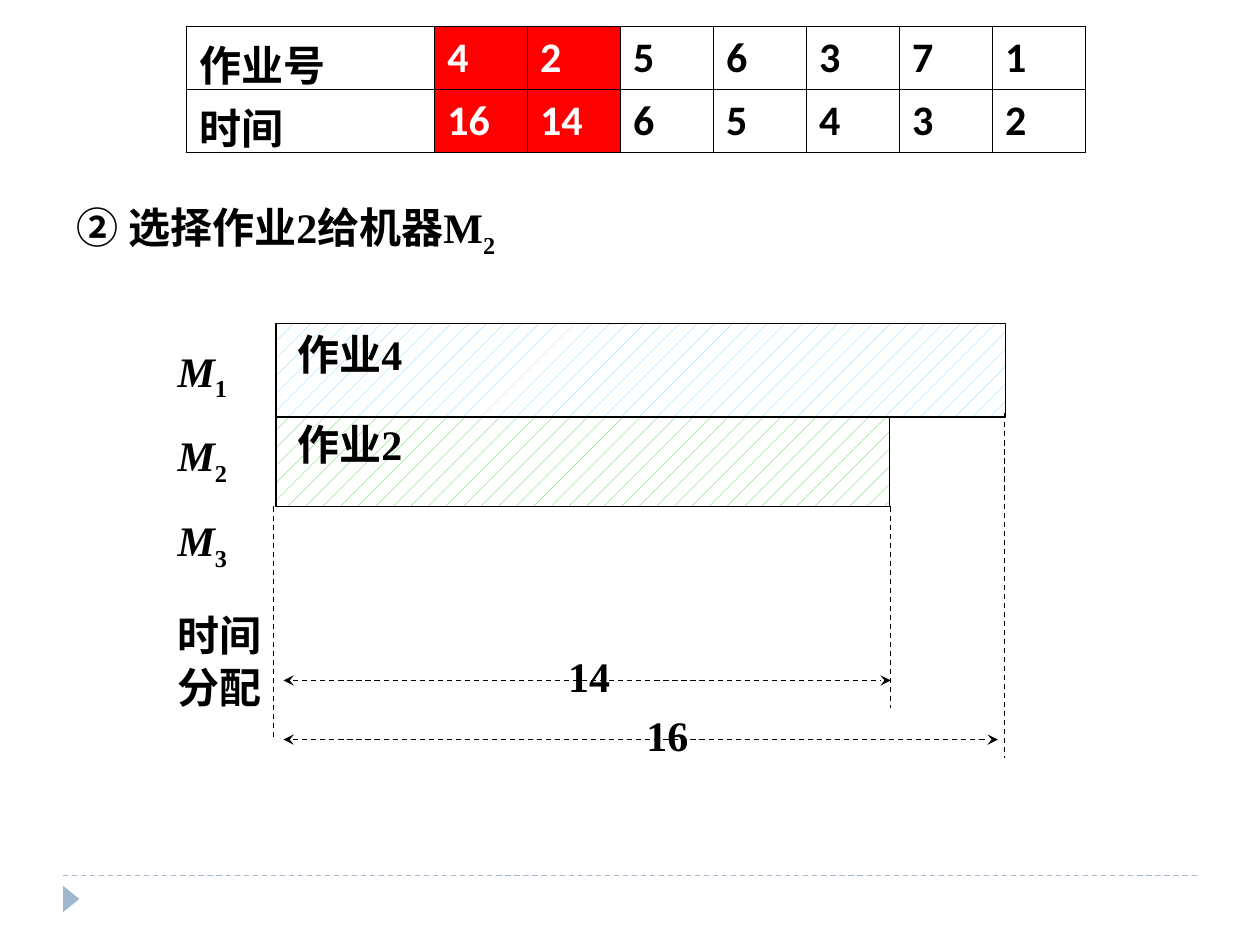
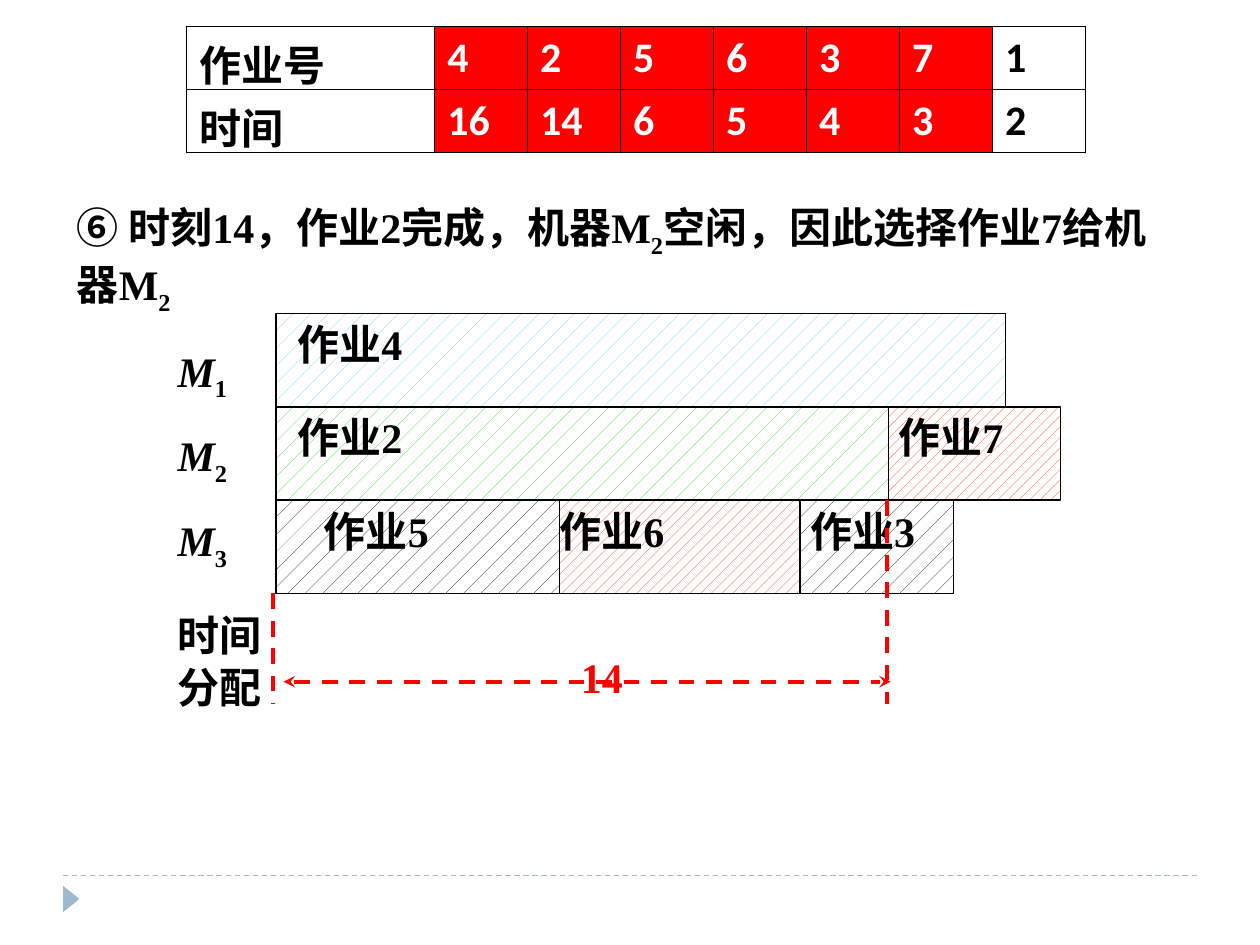
from dataclasses import dataclass

from lxml import etree
from pptx import Presentation
from pptx.dml.color import RGBColor
from pptx.enum.dml import MSO_LINE, MSO_PATTERN
from pptx.enum.shapes import MSO_CONNECTOR, MSO_SHAPE
from pptx.enum.text import MSO_ANCHOR, MSO_AUTO_SIZE, PP_ALIGN
from pptx.oxml.ns import qn
from pptx.util import Emu, Inches, Pt

DASH = MSO_LINE.DASH
DOTS = MSO_PATTERN.PERCENT_5
DASHED_UP = MSO_PATTERN.DASHED_UPWARD_DIAGONAL
STRAIGHT = MSO_CONNECTOR.STRAIGHT
RECTANGLE = MSO_SHAPE.RECTANGLE
TRIANGLE = MSO_SHAPE.ISOSCELES_TRIANGLE
TOP = MSO_ANCHOR.TOP
MIDDLE = MSO_ANCHOR.MIDDLE
FIT_TEXT = MSO_AUTO_SIZE.SHAPE_TO_FIT_TEXT
JUSTIFY = PP_ALIGN.JUSTIFY
LEFT = PP_ALIGN.LEFT

SLIDE_WIDTH, SLIDE_HEIGHT = Inches(10), Inches(7.5)
GRID_COLUMNS = 100
TITLE_ONLY = 5
SERIF, SANS = "Times New Roman", "Calibri"
TEXT_SIZE = 24
COLORS = {
    "black": "000000",
    "white": "FFFFFF",
    "red": "FF0000",
    "band": "9FB8CD",
    "blue": "66CCFF",
    "green": "33CC33",
    "orange": "FF3300",
}

JOBS = ("作业号", "4", "2", "5", "6", "3", "7", "1")
TIMES = ("时间", "16", "14", "6", "5", "4", "3", "2")
MACHINES = ("M|1", "M|2", "M|3")
BAR_HEIGHT = 7.4
CHART_LEFT = 21.9


@dataclass(frozen=True)
class Bar:
    label: str
    machine: int
    left: float
    width: float
    color: str
    indent: float = 1.7
    pattern: MSO_PATTERN = DOTS


@dataclass(frozen=True)
class Guide:
    column: float
    top: float
    bottom: float


@dataclass(frozen=True)
class Span:
    label: str
    row: float
    right: float
    label_left: float


@dataclass(frozen=True)
class Step:
    heading: str
    heading_height: float
    assigned: int
    chart_top: float
    row_pitch: float
    bars: tuple[Bar, ...]
    guides: tuple[Guide, ...]
    spans: tuple[Span, ...]
    guide_color: str
    guide_width: float


JOB_4 = Bar("作业4", 0, CHART_LEFT, 57.9, "blue")
JOB_2 = Bar("作业2", 1, CHART_LEFT, 48.7, "green")

STEPS = (
    Step(
        "② 选择作业2给机器M|2", 5, 2, 25.7, 7.1,
        (JOB_2, JOB_4),
        (Guide(21.7, 40.2, 58.7), Guide(79.7, 32.8, 60.2), Guide(70.7, 40.2, 56.2)),
        (Span("16", 58.7, 79.2, 51.3), Span("14", 54, 70.7, 45.1)),
        "black", 0.75,
    ),
    Step(
        "⑥ 时刻14，作业2完成，机器M|2|空闲，因此选择作业7给机器M|2", 9.1, 6, 24.9, 7.4,
        (
            Bar("作业5", 2, CHART_LEFT, 22.6, "black", 3.8),
            Bar("作业6", 2, 44.4, 19.1, "orange", 0, DASHED_UP),
            Bar("作业3", 2, 63.5, 12.2, "black", 0.8),
            JOB_2,
            Bar("作业7", 1, 70.5, 13.7, "orange", 0.8, DASHED_UP),
            JOB_4,
        ),
        (Guide(21.7, 47.1, 55.9), Guide(70.4, 39.7, 55.9)),
        (Span("14", 54.1, 70.7, 46.1),),
        "red", 2.25,
    ),
)


def grid(cells: float) -> Emu:
    return Emu(round(cells * SLIDE_WIDTH / GRID_COLUMNS))


def color(name: str) -> RGBColor:
    return RGBColor.from_string(COLORS[name])


def write(paragraph, text: str, font=SERIF, text_color="black", align=JUSTIFY) -> None:
    paragraph.alignment = align
    paragraph.font.name = font
    paragraph.font.size = Pt(TEXT_SIZE)
    paragraph.font.bold = True
    paragraph.font.color.rgb = color(text_color)
    for index, part in enumerate(text.split("|")):
        run = paragraph.add_run()
        run.text = part
        if index % 2:
            run._r.get_or_add_rPr().set("baseline", "-25000")


def set_margins(frame, left=0.0, top=0.0, right=0.0, bottom=0.0) -> None:
    frame.margin_left, frame.margin_top = grid(left), grid(top)
    frame.margin_right, frame.margin_bottom = grid(right), grid(bottom)


def add_text_frame(slide, left: float, top: float, width: float, height: float):
    box = slide.shapes.add_textbox(grid(left), grid(top), grid(width), grid(height))
    frame = box.text_frame
    frame.word_wrap = True
    set_margins(frame)
    return frame


def add_dashed_line(slide, start, end, line_color: str, width=0.75, arrows=False):
    connector = slide.shapes.add_connector(STRAIGHT, *map(grid, (*start, *end)))
    connector.line.color.rgb = color(line_color)
    connector.line.width = Pt(width)
    connector.line.dash_style = DASH
    properties = connector.element.spPr
    if arrows:
        outline = properties.find(qn("a:ln"))
        for tag in ("a:headEnd", "a:tailEnd"):
            etree.SubElement(outline, qn(tag), type="stealth")
    etree.SubElement(properties, qn("a:effectLst"))
    return connector


def add_footer_to_layout(slide) -> None:
    line = add_dashed_line(slide, (5, 69.5), (95, 69.5), "band")
    marker = slide.shapes.add_shape(TRIANGLE, grid(4.6), grid(70.7), grid(2.1), grid(1.3))
    marker.rotation = 90
    marker.shadow.inherit = False
    marker.fill.solid()
    marker.fill.fore_color.rgb = color("band")
    marker.line.fill.background()
    for shape in (line, marker):
        slide.slide_layout.shapes.element.append(shape.element)


def format_heading(slide, step: Step) -> None:
    title = slide.shapes.title
    title.left, title.top = grid(5.1), grid(15.5)
    title.width, title.height = grid(88.3), grid(step.heading_height)
    frame = title.text_frame
    frame.word_wrap = True
    frame.auto_size = FIT_TEXT
    frame.vertical_anchor = TOP
    set_margins(frame, 1, 0.5, 1, 0.5)
    write(frame.paragraphs[0], step.heading, align=LEFT)


def add_machine_labels(slide) -> None:
    frame = add_text_frame(slide, 14.1, 27.4, 8, 38.5)
    for index, label in enumerate((*MACHINES, "时间", "分配")):
        paragraph = frame.add_paragraph() if index else frame.paragraphs[0]
        write(paragraph, label)
        if label in MACHINES:
            paragraph.space_before = paragraph.space_after = Pt(7.8)
            paragraph.runs[0].font.italic = True
        else:
            paragraph.line_spacing = 1.04
            paragraph.space_before = Pt(12.4 if index == len(MACHINES) else 0)


def add_bar(slide, bar: Bar, step: Step) -> None:
    top = step.chart_top + bar.machine * step.row_pitch
    shape = slide.shapes.add_shape(
        RECTANGLE, grid(bar.left), grid(top), grid(bar.width), grid(BAR_HEIGHT)
    )
    shape.shadow.inherit = False
    shape.fill.patterned()
    shape.fill.pattern = bar.pattern
    shape.fill.fore_color.rgb = color(bar.color)
    shape.fill.back_color.rgb = color("white")
    shape.line.color.rgb = color("black")
    shape.line.width = Pt(0.75)
    frame = shape.text_frame
    frame.vertical_anchor = TOP
    set_margins(frame, left=bar.indent, top=0.4)
    write(frame.paragraphs[0], bar.label)


def add_borders(cell) -> None:
    properties = cell._tc.get_or_add_tcPr()
    for side in ("a:lnL", "a:lnR", "a:lnT", "a:lnB"):
        border = etree.SubElement(properties, qn(side), w=str(Pt(1)))
        fill = etree.SubElement(border, qn("a:solidFill"))
        etree.SubElement(fill, qn("a:srgbClr"), val=COLORS["black"])


def add_job_table(slide, assigned: int) -> None:
    rows = (JOBS, TIMES)
    table = slide.shapes.add_table(
        len(rows), len(JOBS), grid(14.8), grid(2.1), grid(71.4), grid(10)
    ).table
    table.first_row = table.horz_banding = False
    for index, column in enumerate(table.columns):
        column.width = grid(7.38 if index else 19.7)
    for row_index, values in enumerate(rows):
        table.rows[row_index].height = grid(5)
        for column_index, value in enumerate(values):
            cell = table.cell(row_index, column_index)
            done = 1 <= column_index <= assigned
            cell.vertical_anchor = MIDDLE
            add_borders(cell)
            if done:
                cell.fill.solid()
                cell.fill.fore_color.rgb = color("red")
            else:
                cell.fill.background()
            text_color = "white" if done else "black"
            write(cell.text_frame.paragraphs[0], value, SANS, text_color, LEFT)


def add_span(slide, span: Span, step: Step) -> None:
    add_dashed_line(
        slide, (22.5, span.row), (span.right, span.row),
        step.guide_color, step.guide_width, arrows=True,
    )
    frame = add_text_frame(slide, span.label_left, span.row - 2.4, 4.2, 4.2)
    write(frame.paragraphs[0], span.label, text_color=step.guide_color)


def build_step(slide, step: Step) -> None:
    format_heading(slide, step)
    add_machine_labels(slide)
    for bar in step.bars:
        add_bar(slide, bar, step)
    add_job_table(slide, step.assigned)
    for span in step.spans:
        add_span(slide, span, step)
    for guide in step.guides:
        add_dashed_line(
            slide, (guide.column, guide.top), (guide.column, guide.bottom),
            step.guide_color, step.guide_width,
        )


def main() -> None:
    presentation = Presentation()
    presentation.slide_width, presentation.slide_height = SLIDE_WIDTH, SLIDE_HEIGHT
    layout = presentation.slide_layouts[TITLE_ONLY]
    slides = [presentation.slides.add_slide(layout) for _ in STEPS]
    add_footer_to_layout(slides[0])
    for slide, step in zip(slides, STEPS):
        build_step(slide, step)
    presentation.save("out.pptx")


main()
